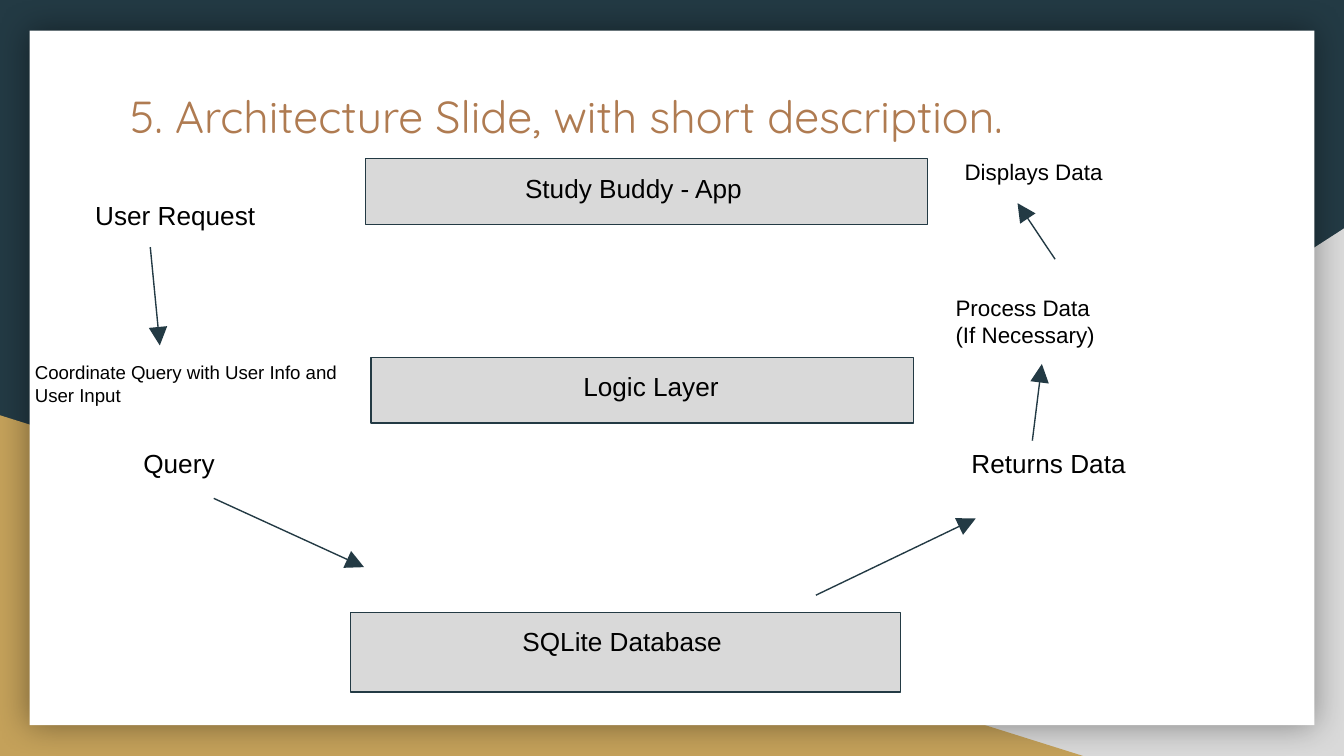
from dataclasses import dataclass

import lxml.etree
import pptx
import pptx.dml.color
import pptx.enum.shapes
import pptx.enum.text
import pptx.oxml.ns
import pptx.util

Cm, Pt = pptx.util.Cm, pptx.util.Pt
SHAPE = pptx.enum.shapes.MSO_SHAPE
ALIGN = pptx.enum.text.PP_ALIGN
qn = pptx.oxml.ns.qn

DARK, GREY, GOLD = "233A44", "D9D9D9", "C4A15A"
WHITE, BLACK, BROWN = "FFFFFF", "000000", "AF7B51"


@dataclass
class Box:
    """Left, top, width and height in centimetres."""
    left: float
    top: float
    width: float
    height: float

    def lengths(self) -> list:
        return [Cm(v) for v in (self.left, self.top, self.width, self.height)]


@dataclass
class Label:
    text: str
    box: Box
    size: int = 14


@dataclass
class Layer:
    text: str
    box: Box
    text_box: Box


@dataclass
class Arrow:
    x1: float
    y1: float
    x2: float
    y2: float


LAYERS = [
    Layer("SQLite Database", Box(6.63, 11.58, 10.39, 1.5), Box(6.63, 11.58, 10.26, 1.45)),
    Layer("Study Buddy - App", Box(6.91, 3, 10.62, 1.24), Box(6.83, 3, 10.29, 1.22)),
    Layer("Logic Layer", Box(7.01, 6.76, 10.26, 1.24), Box(7.01, 6.76, 10.59, 1.22)),
]
LABELS = [
    Label("User Request", Box(1.55, 3.51, 4.27, 1.14)),
    Label("Coordinate Query with User Info and User Input", Box(0.41, 6.58, 6.32, 1.98), 10),
    Label("Query", Box(2.46, 8.2, 2.44, 1.14)),
    Label("Returns Data", Box(18.11, 8.2, 4.27, 1.14)),
    Label("Process Data\n(If Necessary)", Box(17.81, 5.31, 5.61, 1.57), 12),
    Label("Displays Data", Box(17.98, 2.74, 5.61, 0.99), 12),
]
ARROWS = [
    Arrow(2.84, 4.67, 3.02, 6.53),
    Arrow(4.04, 9.42, 6.88, 10.72),
    Arrow(15.42, 11.25, 18.44, 9.8),
    Arrow(19.51, 8.33, 19.69, 6.88),
    Arrow(19.94, 4.9, 19.23, 3.84),
]


def rgb(color: str):
    return pptx.dml.color.RGBColor.from_string(color)


def add_filled(shapes, kind, box: Box, fill: str, line: str = ""):
    sp = shapes.add_shape(kind, *box.lengths())
    sp.shadow.inherit = False
    sp.fill.solid()
    sp.fill.fore_color.rgb = rgb(fill)
    if line:
        sp.line.color.rgb = rgb(line)
        sp.line.width = Pt(0.75)
    else:
        sp.line.fill.background()
    return sp


def set_text(sp, text: str, size: int, font: str = "Arial", color: str = BLACK,
             align=ALIGN.LEFT) -> None:
    tf = sp.text_frame
    tf.text = text
    tf.word_wrap = True
    tf.auto_size = pptx.enum.text.MSO_AUTO_SIZE.NONE
    tf.vertical_anchor = pptx.enum.text.MSO_ANCHOR.TOP
    tf.margin_left = tf.margin_right = tf.margin_top = tf.margin_bottom = Cm(0.25)
    for p in tf.paragraphs:
        p.alignment = align
        p.font.size = Pt(size)
        p.font.name = font
        p.font.color.rgb = rgb(color)


def add_label(shapes, label: Label, align=ALIGN.LEFT) -> None:
    sp = shapes.add_textbox(*label.box.lengths())
    set_text(sp, label.text, label.size, align=align)


def add_layer(shapes, layer: Layer) -> None:
    group = shapes.add_group_shape()
    add_filled(group.shapes, SHAPE.RECTANGLE, layer.box, GREY, DARK)
    add_label(group.shapes, Label(layer.text, layer.text_box), ALIGN.CENTER)


def add_arrow(shapes, arrow: Arrow) -> None:
    ends = [Cm(v) for v in (arrow.x1, arrow.y1, arrow.x2, arrow.y2)]
    line = shapes.add_connector(pptx.enum.shapes.MSO_CONNECTOR.STRAIGHT, *ends)
    line.line.color.rgb = rgb(DARK)
    line.line.width = Pt(0.75)
    sp_pr = line.element.spPr
    lxml.etree.SubElement(sp_pr.find(qn("a:ln")), qn("a:tailEnd"),
                          type="triangle", w="lg", len="lg")
    lxml.etree.SubElement(sp_pr, qn("a:effectLst"))


def add_glow_shadow(sp) -> None:
    effects = sp.element.spPr.find(qn("a:effectLst"))
    shadow = lxml.etree.SubElement(effects, qn("a:outerShdw"), blurRad=str(Pt(18)),
                                   dist="0", dir="0", algn="ctr", rotWithShape="0")
    color = lxml.etree.SubElement(shadow, qn("a:srgbClr"), val=BLACK)
    lxml.etree.SubElement(color, qn("a:alpha"), val="40000")


def main() -> None:
    prs = pptx.Presentation()
    prs.slide_width, prs.slide_height = Cm(25.4), Cm(14.29)
    s = prs.slides.add_slide(prs.slide_layouts[5])

    # Backdrop: dark ground, two corner triangles and a white panel
    s.background.fill.solid()
    s.background.fill.fore_color.rgb = rgb(DARK)
    corner = add_filled(s.shapes, SHAPE.RIGHT_TRIANGLE, Box(9.96, 4.32, 15.44, 9.97), GREY)
    corner.element.spPr.find(qn("a:xfrm")).set("flipH", "1")
    add_filled(s.shapes, SHAPE.RIGHT_TRIANGLE, Box(0, 7.85, 20.47, 6.44), GOLD)
    panel = add_filled(s.shapes, SHAPE.RECTANGLE, Box(0.56, 0.58, 24.28, 13.13), WHITE)
    add_glow_shadow(panel)

    # Title, brought in front of the panel
    title = s.shapes.title
    title.left, title.top, title.width, title.height = Box(2.21, 1.42, 20.85, 1.57).lengths()
    set_text(title, "5. Architecture Slide, with short description.", 24, "Quicksand", BROWN)
    panel.element.addnext(title.element)

    # Architecture layers, data flow labels and arrows
    for layer in LAYERS:
        add_layer(s.shapes, layer)
    for label in LABELS:
        add_label(s.shapes, label)
    for arrow in ARROWS:
        add_arrow(s.shapes, arrow)

    prs.save("out.pptx")


if __name__ == "__main__":
    main()
